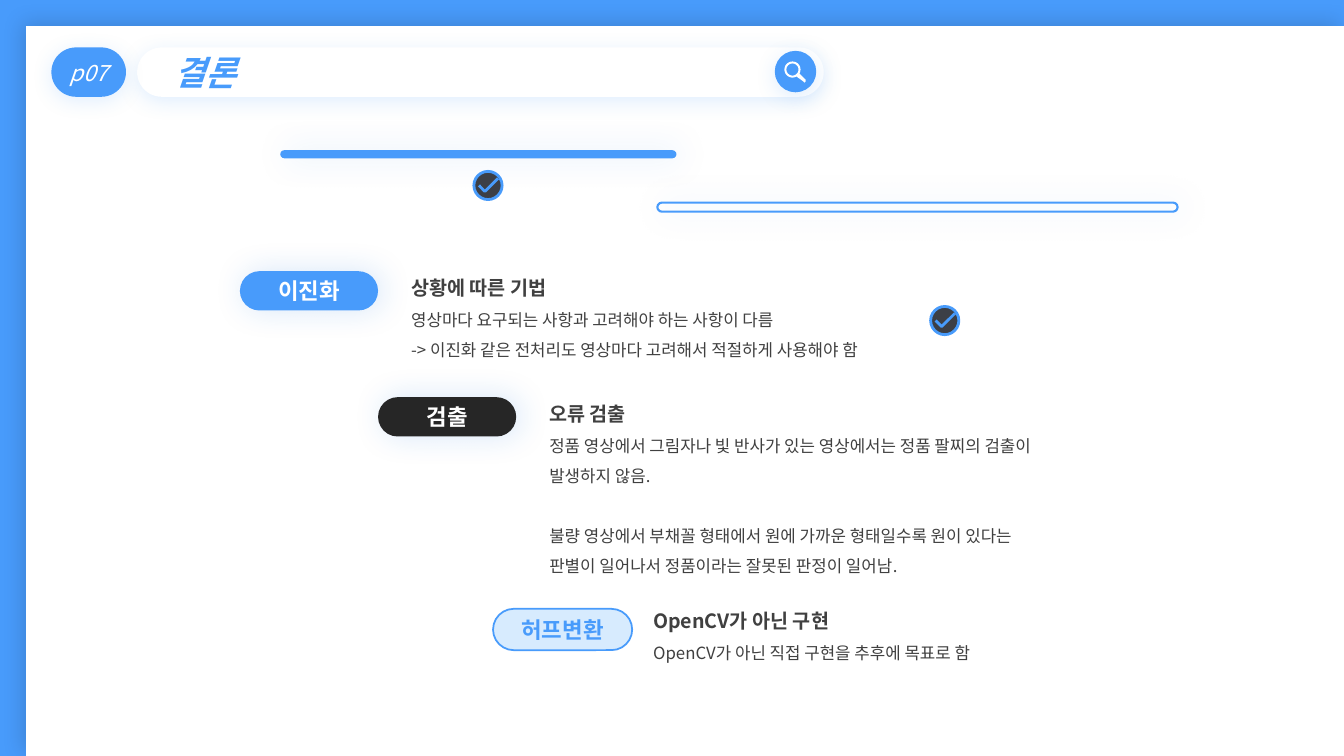
from math import cos, radians, sin

from lxml.etree import SubElement
from pptx import Presentation
from pptx.dml.color import RGBColor
from pptx.enum.shapes import MSO_SHAPE as Preset
from pptx.enum.text import MSO_ANCHOR as Anchor, PP_ALIGN as Align
from pptx.oxml.ns import qn
from pptx.util import Inches, Pt

FONT = "Noto Sans CJK KR"
COLORS = {
    "blue": "489BFB", "white": "FFFFFF", "black": "000000", "ink": "404040",
    "dark": "262626", "badge": "3C3F46", "pale": "D7EBFE", "glow": "1A73DE",
}
PANEL_SHADOW = ("black", 15, 15, 3, 225)
HEADER_SHADOW = ("blue", 17, 15, 3, 90)
LABEL_SHADOW = ("glow", 17, 23, 3, 0)

PANEL = (0.26, 0.26, 13.07, 7.24)
SEARCH_BAR = (1.36, 0.47, 6.81, 0.49)
SEARCH_BUTTON = (7.7, 0.52, 0.38, 0.38)
PAGE_BADGE = (0.51, 0.47, 0.74, 0.49)
SOLID_BAR = (2.78, 1.49, 3.93, 0.08)
OUTLINE_BAR = (6.52, 2.01, 5.16, 0.09)
CHECKS = [(4.7, 1.7), (9.23, 3.04)]

LABELS = [
    ("이진화", (2.38, 2.69, 1.37, 0.39), "blue", "white", None, LABEL_SHADOW),
    ("검출", (3.75, 3.94, 1.37, 0.39), "dark", "white", None, LABEL_SHADOW),
    ("허프변환", (4.89, 6.04, 1.38, 0.41), "pale", "blue", ("blue", 1.25), None),
]
NOTES = [
    ((3.98, 2.57, 5.54, 0.87), 0, "상황에 따른 기법", [
        "영상마다 요구되는 사항과 고려해야 하는 사항이 다름",
        "-> 이진화 같은 전처리도 영상마다 고려해서 적절하게 사용해야 함",
    ]),
    ((5.35, 3.82, 5, 1.67), 21.5, "오류 검출", [
        "정품 영상에서 그림자나 빛 반사가 있는 영상에서는 정품 팔찌의 검출이 발생하지 않음.",
        "불량 영상에서 부채꼴 형태에서 원에 가까운 형태일수록 원이 있다는 판별이 "
        "일어나서 정품이라는 잘못된 판정이 일어남.",
    ]),
    ((6.38, 5.88, 4.67, 0.94), 0, "OpenCV가 아닌 구현", [
        "OpenCV가 아닌 직접 구현을 추후에 목표로 함",
    ]),
]


def color(name):
    return RGBColor.from_string(COLORS[name])


def paint(shape, fill=None, line=None, shadow=None):
    if fill:
        shape.fill.solid()
        shape.fill.fore_color.rgb = color(fill)
    else:
        shape.fill.background()
    if line:
        shape.line.color.rgb = color(line[0])
        shape.line.width = Pt(line[1])
    else:
        shape.line.fill.background()
    shape.shadow.inherit = False
    if shadow:
        tint, alpha, blur, distance, angle = shadow
        effects = shape._element.spPr.find(qn("a:effectLst"))
        outer = SubElement(effects, qn("a:outerShdw"), blurRad=str(Pt(blur)),
                           dist=str(Pt(distance)), dir=str(angle * 60000),
                           algn="ctr", rotWithShape="0")
        shade = SubElement(outer, qn("a:srgbClr"), val=COLORS[tint])
        SubElement(shade, qn("a:alpha"), val=str(alpha * 1000))


def add_box(parent, preset, place, fill=None, line=None, shadow=None):
    box = parent.shapes.add_shape(preset, *map(Inches, place))
    if preset == Preset.ROUNDED_RECTANGLE:
        box.adjustments[0] = 0.5
    paint(box, fill, line, shadow)
    return box


def style(para, size, tint, bold=False, italic=False):
    for span in para.runs:
        span.font.size = Pt(size)
        span.font.bold = bold
        span.font.italic = italic
        span.font.color.rgb = color(tint)
        span.font.name = FONT
        SubElement(span._r.rPr, qn("a:ea"), typeface=FONT)


def add_caption(box, text, size, tint, bold=False, italic=False, align=Align.CENTER):
    frame = box.text_frame
    frame.text = text
    frame.vertical_anchor = Anchor.MIDDLE
    para = frame.paragraphs[0]
    para.alignment = align
    style(para, size, tint, bold, italic)
    return para


def add_outline(parent, contours, closed):
    scaled = [[(Inches(x), Inches(y)) for x, y in points] for points in contours]
    builder = parent.shapes.build_freeform(*scaled[0][0])
    for index, points in enumerate(scaled):
        if index:
            builder.move_to(*points[0])
        builder.add_line_segments(points[1:], close=closed)
    return builder.convert_to_shape()


def arc(center, radius, start, end):
    return [(center[0] + radius * cos(radians(angle)),
             center[1] + radius * sin(radians(angle)))
            for angle in range(start, end + 1, 10)]


def add_search_button(page):
    group = page.shapes.add_group_shape()
    add_box(group, Preset.OVAL, SEARCH_BUTTON, "blue", ("blue", 2.25), HEADER_SHADOW)
    lens = (7.86, 0.69)
    handle = [(7.98, 0.78), (7.99, 0.79), (7.99, 0.81), (7.98, 0.82), (7.97, 0.81)]
    glass = add_outline(group, [arc(lens, 0.08, 60, 390) + handle,
                                arc(lens, 0.06, 0, 350)[::-1]], True)
    paint(glass, "white")


def add_check(page, left, top):
    group = page.shapes.add_group_shape()
    add_box(group, Preset.OVAL, (left, top, 0.28, 0.28), "badge", ("blue", 2))
    strokes = [(0.05, 0.14), (0.11, 0.2), (0.24, 0.07)]
    tick = add_outline(group, [[(left + x, top + y) for x, y in strokes]], False)
    paint(tick, line=("blue", 2))


def add_note(page, place, gap, heading, lines):
    frame = page.shapes.add_textbox(*map(Inches, place)).text_frame
    frame.word_wrap = True
    frame.text = "\n".join([heading, *lines])
    for index, para in enumerate(frame.paragraphs):
        para.line_spacing = 1.5
        if index > 1:
            para.space_before = Pt(gap)
        style(para, 12 if index else 14, "ink", bold=index == 0)


def main():
    deck = Presentation()
    deck.slide_width, deck.slide_height = Inches(13.33), Inches(7.5)
    page = deck.slides.add_slide(deck.slide_layouts[6])
    page.background.fill.solid()
    page.background.fill.fore_color.rgb = color("blue")

    pill = Preset.ROUNDED_RECTANGLE
    add_box(page, Preset.RECTANGLE, PANEL, "white", shadow=PANEL_SHADOW)
    search = add_box(page, pill, SEARCH_BAR, "white", shadow=HEADER_SHADOW)
    title = add_caption(search, "결론", 24, "blue", True, True, Align.LEFT)
    title._p.get_or_add_pPr().set("marL", str(Inches(0.2)))
    add_search_button(page)
    badge = add_box(page, pill, PAGE_BADGE, "blue", shadow=HEADER_SHADOW)
    add_caption(badge, "p07", 16, "white", italic=True)
    badge.text_frame.word_wrap = False

    add_box(page, pill, SOLID_BAR, "blue", shadow=LABEL_SHADOW)
    add_box(page, pill, OUTLINE_BAR, line=("blue", 1.5), shadow=LABEL_SHADOW)
    for left, top in CHECKS:
        add_check(page, left, top)
    for text, place, fill, tint, line, shadow in LABELS:
        add_caption(add_box(page, pill, place, fill, line, shadow), text, 16, tint, True)
    for note in NOTES:
        add_note(page, *note)
    deck.save("out.pptx")


if __name__ == "__main__":
    main()
